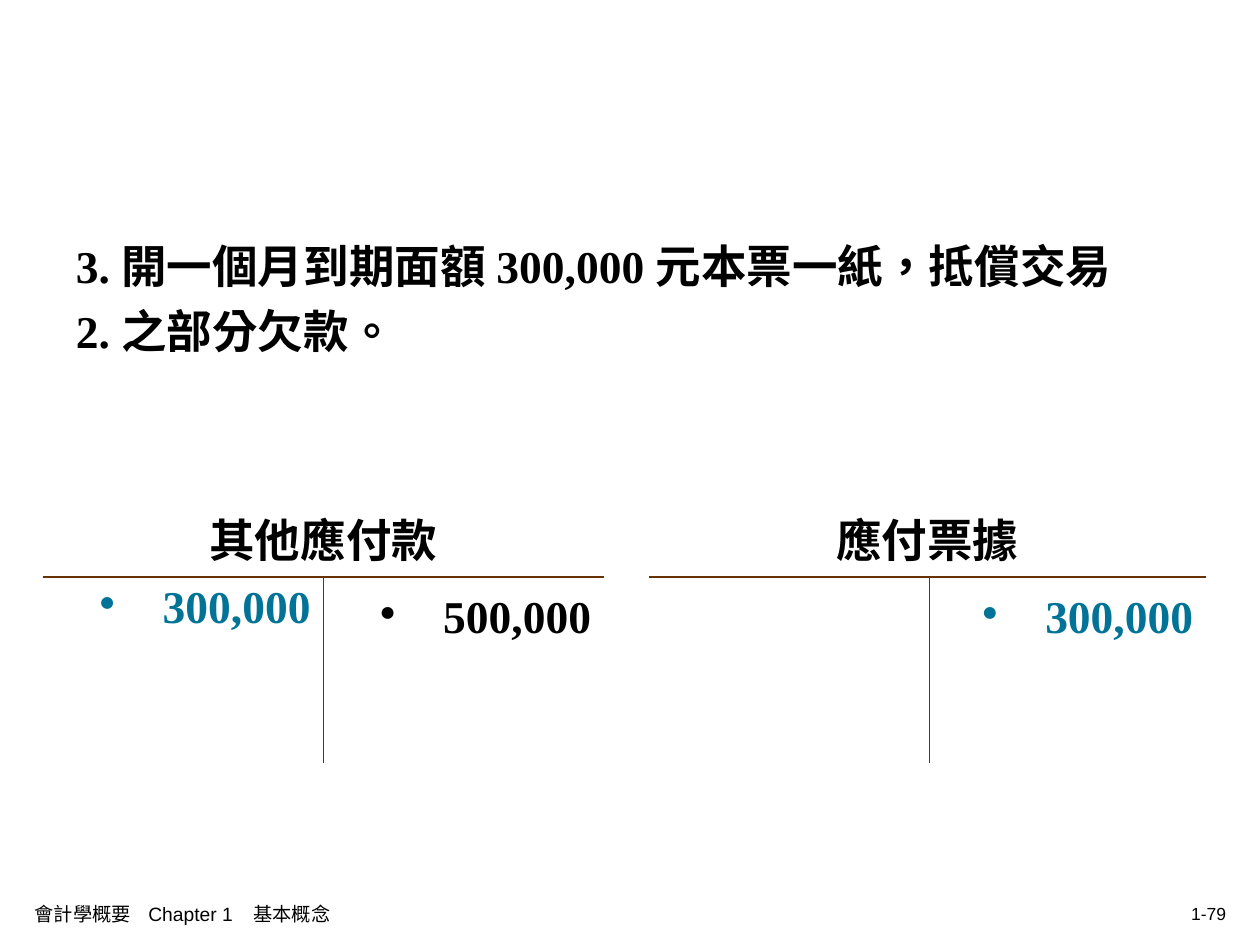
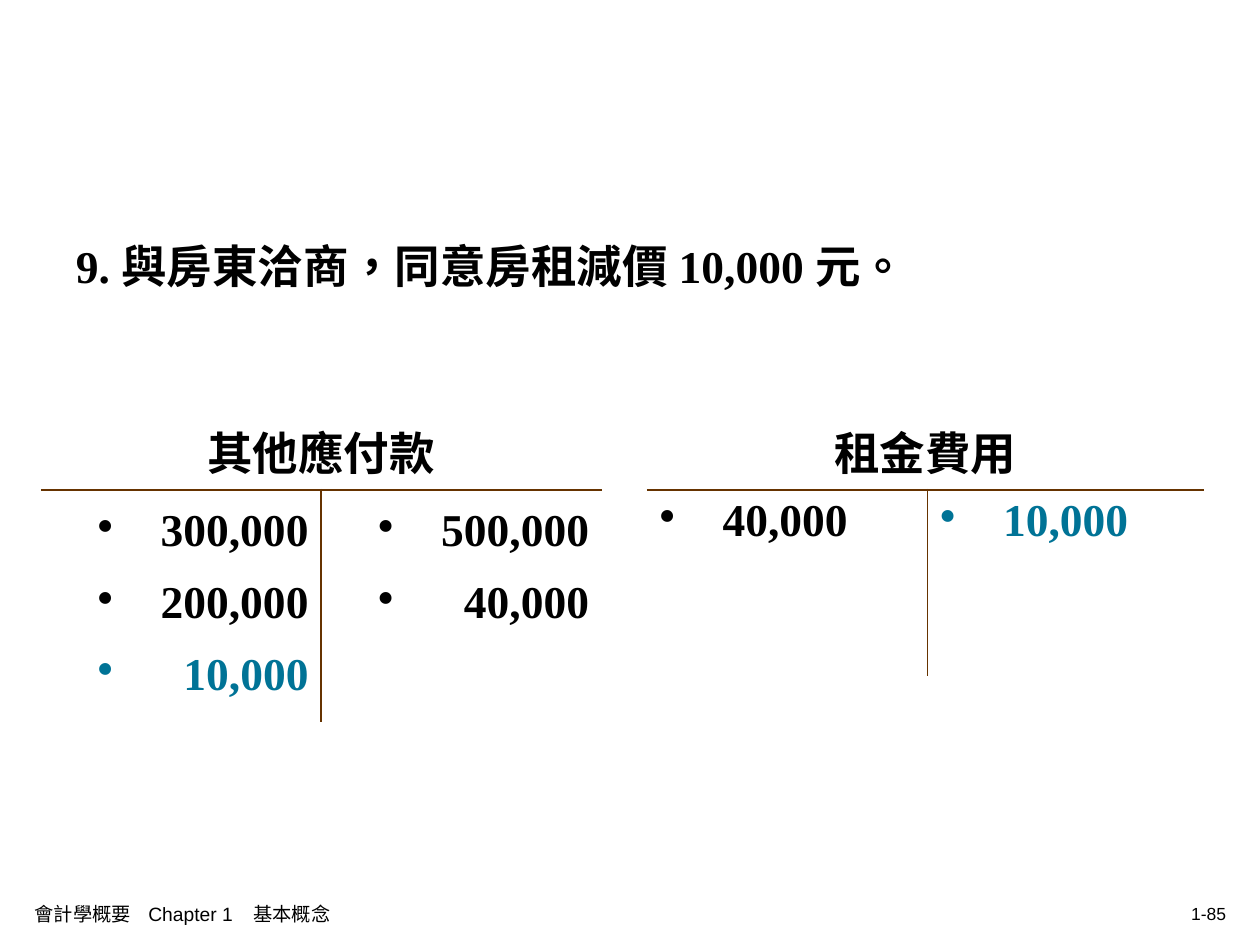
from dataclasses import dataclass

from lxml import etree
from pptx import Presentation
from pptx.dml.color import RGBColor
from pptx.enum.text import MSO_ANCHOR as ANCHOR, PP_ALIGN as ALIGN
from pptx.oxml.ns import qn
from pptx.util import Pt

BLACK, TEAL, BROWN = "000000", "007396", "663300"
SERIF, SANS = "Times New Roman", "Arial"
LANGUAGE = "zh-TW"
TEXT_SIZE = 26
RULE_WIDTH = 1.08
HEADER_HEIGHT = 45
DEBIT_WIDTH = 160.3
LEDGER_STEP = 346.4
HANG = 36
DIGIT_WIDTH = 13
FULL_AMOUNT = "000,000"


@dataclass
class Column:
    amounts: tuple = ()
    align: int = ALIGN.RIGHT
    spacing: float = 1.0


def rgb(value):
    return RGBColor.from_string(value)


def add_run(p, text, size, font=SERIF, color=BLACK, bold=False):
    r = p.add_run()
    r.text = text
    r.font.size = Pt(size)
    r.font.name = font
    r.font.bold = bold
    r.font.color.rgb = rgb(color)
    r._r.get_or_add_rPr().set("lang", LANGUAGE)


def add_child(parent, tag, **attrs):
    child = etree.SubElement(parent, qn(tag))
    for name, value in attrs.items():
        child.set(name, str(value))
    return child


def set_indent(p, hang):
    pPr = p._p.get_or_add_pPr()
    pPr.set("marL", str(Pt(hang)))
    pPr.set("indent", str(-Pt(hang)))
    return pPr


def add_bullet(p, color, hang):
    pPr = set_indent(p, hang)
    add_child(add_child(pPr, "a:buClr"), "a:srgbClr", val=color)
    add_child(pPr, "a:buChar", char="•")


def add_tabs(p, *stops):
    tabs = add_child(p._p.get_or_add_pPr(), "a:tabLst")
    for stop in stops:
        add_child(tabs, "a:tab", pos=Pt(stop), algn="l")


def add_text_box(slide, left, top, width, height, anchor=ANCHOR.MIDDLE):
    box = slide.shapes.add_textbox(Pt(left), Pt(top), Pt(width), Pt(height))
    tf = box.text_frame
    tf.word_wrap = True
    tf.vertical_anchor = anchor
    return tf


def add_transaction(slide, lines):
    tf = add_text_box(slide, 36.3, 126, 648, 356.4, ANCHOR.TOP)
    for i, line in enumerate(lines):
        p = tf.paragraphs[0] if i == 0 else tf.add_paragraph()
        p.line_spacing = 1.2
        set_indent(p, 27)
        add_run(p, line, TEXT_SIZE, bold=True)


def add_footer(slide, number):
    p = add_text_box(slide, 12.7, 510.5, 321.8, 23.8).paragraphs[0]
    add_tabs(p, 65, 125)
    add_run(p, "會計學概要\tChapter 1\t基本概念", 11, SANS)
    p = add_text_box(slide, 516.2, 510.3, 191.5, 23.8).paragraphs[0]
    p.alignment = ALIGN.RIGHT
    add_run(p, number, 10, SANS)


def style_cell(cell, ruled_sides):
    tcPr = cell._tc.get_or_add_tcPr()
    for side in "LRTB":
        ln = add_child(tcPr, f"a:ln{side}", w=Pt(RULE_WIDTH))
        if side in ruled_sides:
            add_child(add_child(ln, "a:solidFill"), "a:srgbClr", val=BROWN)
        else:
            add_child(ln, "a:noFill")
    cell.fill.background()


def fill_column(cell, column):
    for i, (amount, color) in enumerate(column.amounts):
        p = cell.text_frame.paragraphs[0] if i == 0 else cell.text_frame.add_paragraph()
        p.alignment = column.align
        p.line_spacing = column.spacing
        if i:
            p.space_before = Pt(6.5)
        missing = len(FULL_AMOUNT) - len(amount) if column.align == ALIGN.RIGHT else 0
        add_bullet(p, color, HANG + missing * DIGIT_WIDTH)
        add_run(p, amount, TEXT_SIZE, color=color, bold=True)


def add_ledger(slide, left, top, credit_width, body_height, account, debit, credit):
    frame = slide.shapes.add_table(2, 2, Pt(left), Pt(top), Pt(DEBIT_WIDTH + credit_width),
                                   Pt(HEADER_HEIGHT + body_height))
    table = frame.table
    table.first_row = table.horz_banding = False
    table.columns[0].width = Pt(DEBIT_WIDTH)
    table.columns[1].width = Pt(credit_width)
    table.rows[0].height = Pt(HEADER_HEIGHT)
    table.rows[1].height = Pt(body_height)

    header = table.cell(0, 0)
    header.merge(table.cell(0, 1))
    header.vertical_anchor = ANCHOR.TOP
    p = header.text_frame.paragraphs[0]
    p.alignment = ALIGN.CENTER
    add_run(p, account, TEXT_SIZE, bold=True)

    for row, col, sides in ((0, 0, "B"), (0, 1, "B"), (1, 0, "TR"), (1, 1, "TL")):
        style_cell(table.cell(row, col), sides)
    fill_column(table.cell(1, 0), debit)
    fill_column(table.cell(1, 1), credit)


def add_slide(prs, number, lines, left, top, payable_height, payable, other):
    slide = prs.slides.add_slide(prs.slide_layouts[6])
    add_transaction(slide, lines)
    add_ledger(slide, left, top, DEBIT_WIDTH, payable_height, "其他應付款", *payable)
    add_ledger(slide, left + LEDGER_STEP, top, 157.9, 106.6, *other)
    add_footer(slide, number)


def main():
    prs = Presentation()
    prs.slide_width, prs.slide_height = Pt(720), Pt(540)

    add_slide(
        prs, "1-79",
        ["3. 開一個月到期面額 300,000 元本票一紙，抵償交易", "2. 之部分欠款。"],
        24.5, 284.6, 106.6,
        (Column((("300,000", TEAL),)),
         Column((("500,000", BLACK),), spacing=1.2)),
        ("應付票據", Column(), Column((("300,000", TEAL),), spacing=1.2)),
    )
    add_slide(
        prs, "1-85",
        ["9. 與房東洽商，同意房租減價 10,000 元。"],
        23.3, 234.9, 132.5,
        (Column((("300,000", BLACK), ("200,000", BLACK), ("10,000", TEAL)), spacing=1.2),
         Column((("500,000", BLACK), ("40,000", BLACK)), spacing=1.2)),
        ("租金費用",
         Column((("40,000", BLACK),), ALIGN.LEFT),
         Column((("10,000", TEAL),), ALIGN.LEFT)),
    )
    prs.save("out.pptx")


if __name__ == "__main__":
    main()
